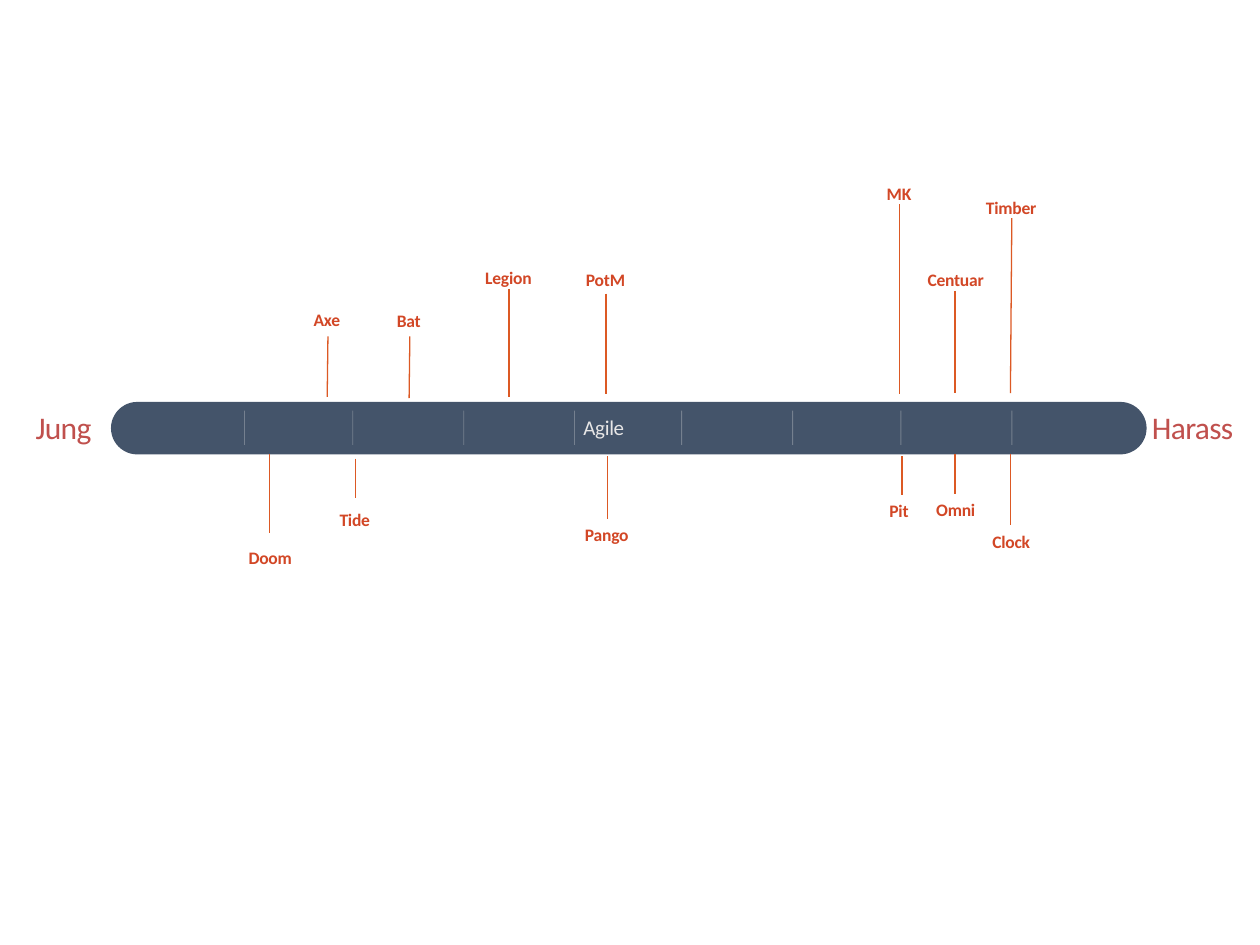
from typing import NamedTuple

from lxml import etree
from pptx import Presentation
from pptx.dml.color import RGBColor
from pptx.enum import shapes, text
from pptx.oxml import ns
from pptx.util import Pt

NAVY = RGBColor(0x44, 0x54, 0x6A)
PALE = RGBColor(0xE7, 0xE6, 0xE6)
ORANGE = RGBColor(0xDC, 0x59, 0x24)
RUST = RGBColor(0xD2, 0x47, 0x26)
RED = RGBColor(0xC0, 0x50, 0x4D)

FONT = "Calibri"
LABEL_WIDTH, LABEL_HEIGHT = 49.7, 12.2
TICK_XS = (139.7, 201.6, 265, 328.3, 389.5, 452.9, 514.8, 578.2)


class Hero(NamedTuple):
    """A name on the scale, with the ends of its leader line."""
    name: str
    center: float
    top: float
    start: tuple
    end: tuple


HEROES = (
    Hero("Timber", 577.8, 112.3, (578.2, 124.6), (577.4, 224.6)),
    Hero("PotM", 346, 153.4, (346.3, 167.8), (346.3, 225.4)),
    Hero("Doom", 154.4, 312.5, (154.1, 259.2), (154.1, 304.6)),
    Hero("Pit", 513.7, 285.8, (515.5, 260.6), (515.5, 283)),
    Hero("Pango", 346.7, 299.5, (347, 260.6), (347, 296.6)),
    Hero("Bat", 233.6, 177.1, (234.2, 192.2), (233.8, 227.5)),
    Hero("Clock", 577.8, 303.1, (577.4, 259.2), (577.4, 300.2)),
    Hero("MK", 513.7, 104.4, (514.1, 116.6), (514.1, 225.4)),
    Hero("Omni", 546.1, 285.1, (545.8, 259.2), (545.8, 282.2)),
    Hero("Centuar", 546.1, 153.4, (545.8, 166.3), (545.8, 224.6)),
    Hero("Legion", 290.5, 152.6, (290.9, 164.9), (290.9, 226.8)),
    Hero("Tide", 202.7, 290.9, (203, 262.1), (203, 284.4)),
    Hero("Axe", 186.8, 176.4, (187.4, 192.2), (187, 226.8)),
)


def add_line(page, start, end, color, width, opacity=100):
    """Draw a straight line, with opacity in percent."""
    line = page.shapes.add_connector(
        shapes.MSO_CONNECTOR.STRAIGHT, *(Pt(value) for value in start + end))
    line.line.color.rgb = color
    line.line.width = Pt(width)
    properties = line._element.spPr
    etree.SubElement(properties, ns.qn("a:effectLst"))
    if opacity < 100:
        fill = properties.find(".//" + ns.qn("a:srgbClr"))
        etree.SubElement(fill, ns.qn("a:alpha"), val=str(opacity * 1000))


def add_text(page, words, frame, size, color, bold=False, wrap=False,
             grow=True, align=text.PP_ALIGN.CENTER, spacing=-0.1):
    """Place one line of text in a box without margins."""
    box = page.shapes.add_textbox(*(Pt(value) for value in frame))
    body = box.text_frame
    body.margin_left = body.margin_right = 0
    body.margin_top = body.margin_bottom = 0
    body.vertical_anchor = text.MSO_ANCHOR.MIDDLE
    body.word_wrap = wrap
    body.auto_size = (text.MSO_AUTO_SIZE.SHAPE_TO_FIT_TEXT if grow
                      else text.MSO_AUTO_SIZE.NONE)
    para = body.paragraphs[0]
    para.alignment = align
    span = para.add_run()
    span.text = words
    span.font.name = FONT
    span.font.size = Pt(size)
    span.font.bold = bold
    span.font.color.rgb = color
    span._r.get_or_add_rPr().set("spc", str(round(spacing * 100)))


def add_bar(page):
    """Draw the rounded scale bar with its ticks and middle label."""
    bar = page.shapes.add_shape(
        shapes.MSO_SHAPE.ROUNDED_RECTANGLE,
        Pt(63.4), Pt(229.7), Pt(591.8), Pt(30))
    bar.adjustments[0] = 0.5
    bar.shadow.inherit = False
    bar.fill.solid()
    bar.fill.fore_color.rgb = NAVY
    bar.line.fill.background()
    for x in TICK_XS:
        add_line(page, (x, 234.7), (x, 254.2), PALE, 0.5, opacity=30)
    add_text(page, "Agile", (333.4, 236.9, 18, 14.4), 12, PALE,
             grow=False, align=text.PP_ALIGN.LEFT, spacing=-0.2)


def add_hero(page, hero):
    """Draw a leader line and the centred name at its end."""
    add_line(page, hero.start, hero.end, ORANGE, 0.75)
    frame = (hero.center - LABEL_WIDTH / 2, hero.top,
             LABEL_WIDTH, LABEL_HEIGHT)
    add_text(page, hero.name, frame, 10, RUST, bold=True, wrap=True)


def main():
    """Build the scale slide and save it."""
    deck = Presentation()
    deck.slide_width, deck.slide_height = Pt(720), Pt(540)
    page = deck.slides.add_slide(deck.slide_layouts[6])
    for words, left, width in (("Jung", 19.4, 33.8), ("Harass", 657.4, 48.2)):
        add_text(page, words, (left, 233.3, width, 21.6), 18, RED,
                 spacing=-0.4)
    add_bar(page)
    for hero in HEROES:
        add_hero(page, hero)
    deck.save("out.pptx")


main()
